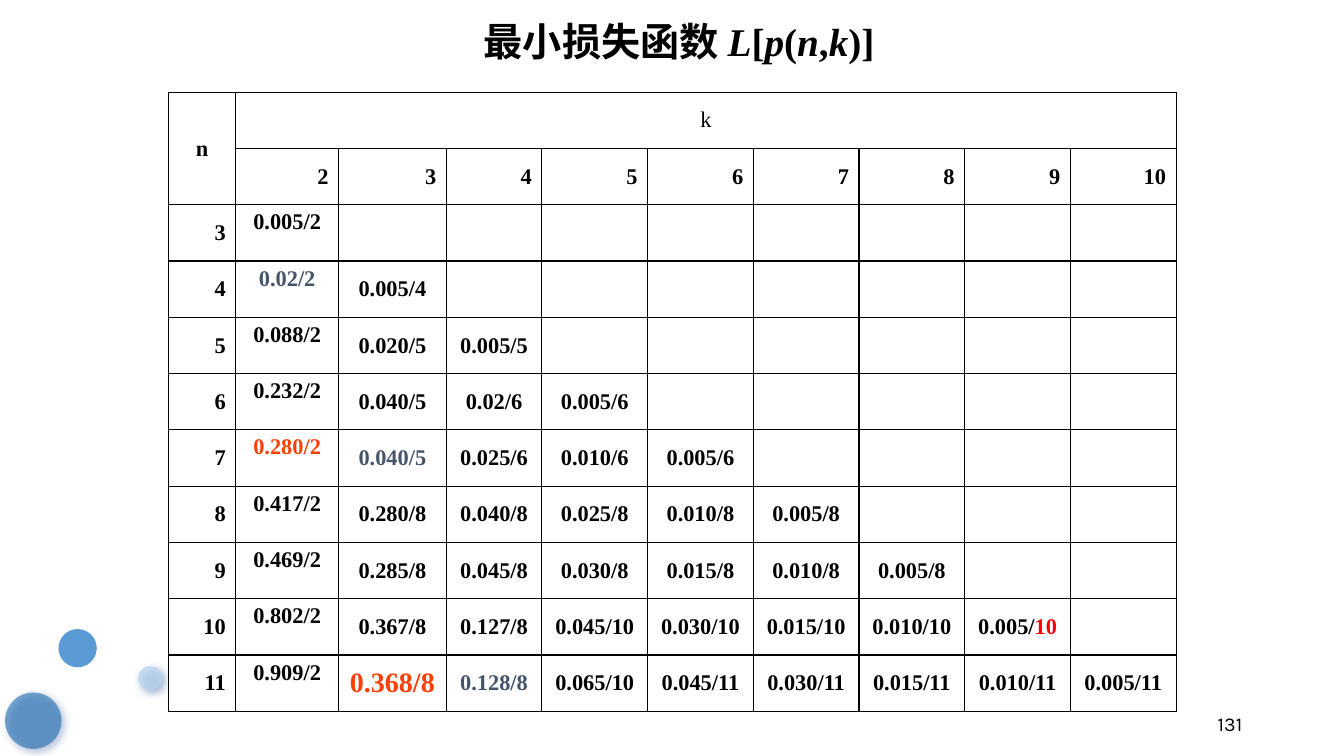
from dataclasses import dataclass

from lxml import etree
from pptx import Presentation
from pptx import util as u
from pptx.dml.color import RGBColor
from pptx.enum import shapes, text
from pptx.oxml import ns


@dataclass(frozen=True)
class Theme:
    serif: str = "Times New Roman"
    sans: str = "Karla"
    ink: str = "000000"
    paper: str = "FFFFFF"
    slate: str = "44546A"
    orange: str = "FC3F04"
    red: str = "FF0000"
    shade: str = "2B579A"
    title: int = 28
    large: int = 20
    body: int = 16
    number: int = 14


THEME = Theme()
WIDTH, HEIGHT = u.Inches(13.33), u.Inches(7.5)
COLUMN_WEIGHTS = [67, 102, 107, 95] + [105] * 6
LOSSES = {
    3: "0.005/2",
    4: "0.02/2 0.005/4",
    5: "0.088/2 0.020/5 0.005/5",
    6: "0.232/2 0.040/5 0.02/6 0.005/6",
    7: "0.280/2 0.040/5 0.025/6 0.010/6 0.005/6",
    8: "0.417/2 0.280/8 0.040/8 0.025/8 0.010/8 0.005/8",
    9: "0.469/2 0.285/8 0.045/8 0.030/8 0.015/8 0.010/8 0.005/8",
    10: "0.802/2 0.367/8 0.127/8 0.045/10 0.030/10 0.015/10 0.010/10 0.005/10",
    11: "0.909/2 0.368/8 0.128/8 0.065/10 0.045/11 0.030/11 0.015/11 0.010/11 0.005/11",
}
HIGHLIGHTS = {
    (4, 2): THEME.slate,
    (7, 2): THEME.orange,
    (7, 3): THEME.slate,
    (11, 3): THEME.orange,
    (11, 4): THEME.slate,
}
TITLE_PARTS = ["最小损失函数 ", "L", "[", "p", "(", "n", ",", "k", ")]"]
DISCS = [
    (4.35, 83.2, 2.85, "5B9BD5", 100, None),
    (0.38, 91.6, 4.2, "2E75B6", 65, 55),
    (10.28, 88.13, 1.8, "BDD7EE", 75, 61),
]


def across(percent):
    return u.Emu(round(WIDTH * percent / 100))


def down(percent):
    return u.Emu(round(HEIGHT * percent / 100))


def add_node(parent, tag, **attributes):
    return etree.SubElement(parent, ns.qn(tag), {key: str(value) for key, value in attributes.items()})


def style(font, size, color=THEME.ink, bold=False, face=THEME.serif):
    font.name, font.size, font.bold = face, u.Pt(size), bold
    font.color.rgb = RGBColor.from_string(color)


def add_disc(slide, left, top, diameter, color, opacity, shadow_opacity):
    disc = slide.shapes.add_shape(
        shapes.MSO_SHAPE.OVAL, across(left), down(top), across(diameter), across(diameter))
    disc.shadow.inherit = False
    disc.fill.solid()
    disc.fill.fore_color.rgb = RGBColor.from_string(color)
    disc.line.fill.background()
    properties = disc.element.spPr
    if opacity < 100:
        add_node(properties.find(".//" + ns.qn("a:srgbClr")), "a:alpha", val=opacity * 1000)
    if shadow_opacity:
        shadow = add_node(properties.find(ns.qn("a:effectLst")), "a:outerShdw", blurRad=u.Pt(6),
                          dist=u.Pt(3), dir=45 * 60000, algn="ctr", rotWithShape=0)
        tint = add_node(shadow, "a:srgbClr", val=THEME.shade)
        add_node(tint, "a:alpha", val=shadow_opacity * 1000)


def add_label(slide, left, top, width, height, wrap):
    frame = slide.shapes.add_textbox(across(left), down(top), across(width), down(height)).text_frame
    frame.word_wrap = wrap
    return frame


def add_title(slide):
    heading = add_label(slide, 35.26, 1.6, 31.73, 7.6, False).paragraphs[0]
    style(heading.font, THEME.title, bold=True)
    for position, words in enumerate(TITLE_PARTS):
        part = heading.add_run()
        part.text = words
        part.font.italic = position % 2 == 1


def add_page_number(slide):
    frame = add_label(slide, 70.67, 92.67, 22.5, 5.33, True)
    frame.vertical_anchor = text.MSO_ANCHOR.BOTTOM
    number = frame.paragraphs[0]
    number.text = "131"
    number.alignment = text.PP_ALIGN.RIGHT
    style(number.font, THEME.number, face=THEME.sans)


def frame_cell(cell):
    properties = cell._tc.get_or_add_tcPr()
    for side in ("a:lnL", "a:lnR", "a:lnT", "a:lnB"):
        border = add_node(properties, side, w=u.Pt(1))
        add_node(add_node(border, "a:solidFill"), "a:srgbClr", val=THEME.ink)
    cell.fill.solid()
    cell.fill.fore_color.rgb = RGBColor.from_string(THEME.paper)


def write_cell(cell, words, align=text.PP_ALIGN.CENTER, anchor=text.MSO_ANCHOR.MIDDLE,
               color=THEME.ink, size=THEME.body, bold=True):
    cell.vertical_anchor = anchor
    entry = cell.text_frame.paragraphs[0]
    entry.text = words
    entry.alignment = align
    style(entry.font, size, color, bold)
    return entry


def write_losses(table, row, n):
    write_cell(table.cell(row, 0), str(n), text.PP_ALIGN.RIGHT)
    for k, loss in enumerate(LOSSES[n].split(), 2):
        entry = write_cell(
            table.cell(row, k - 1), loss,
            anchor=text.MSO_ANCHOR.TOP if k == 2 else text.MSO_ANCHOR.MIDDLE,
            color=HIGHLIGHTS.get((n, k), THEME.ink),
            size=THEME.large if (n, k) == (11, 3) else THEME.body)
        if (n, k) == (10, 9):
            value, divisor = loss.split("/")
            entry.runs[0].text = value + "/"
            ending = entry.add_run()
            ending.text = divisor
            ending.font.color.rgb = RGBColor.from_string(THEME.red)


def add_loss_table(slide):
    row_count = len(LOSSES) + 2
    table = slide.shapes.add_table(row_count, len(COLUMN_WEIGHTS), across(12.53), down(12.2),
                                   across(75), down(81.9)).table
    table.first_row = table.horz_banding = False
    for column, weight in zip(table.columns, COLUMN_WEIGHTS):
        column.width = across(75 * weight / sum(COLUMN_WEIGHTS))
    for row in table.rows:
        row.height = down(81.9 / row_count)
    for cell in table.iter_cells():
        frame_cell(cell)
    table.cell(0, 0).merge(table.cell(1, 0))
    table.cell(0, 1).merge(table.cell(0, len(COLUMN_WEIGHTS) - 1))
    write_cell(table.cell(0, 0), "n")
    write_cell(table.cell(0, 1), "k", bold=False)
    for k in range(2, len(COLUMN_WEIGHTS) + 1):
        write_cell(table.cell(1, k - 1), str(k), text.PP_ALIGN.RIGHT)
    for row, n in enumerate(LOSSES, 2):
        write_losses(table, row, n)


def main():
    deck = Presentation()
    deck.slide_width, deck.slide_height = WIDTH, HEIGHT
    slide = deck.slides.add_slide(deck.slide_layouts[6])
    for disc in DISCS:
        add_disc(slide, *disc)
    add_page_number(slide)
    add_loss_table(slide)
    add_title(slide)
    deck.save("out.pptx")


if __name__ == "__main__":
    main()
